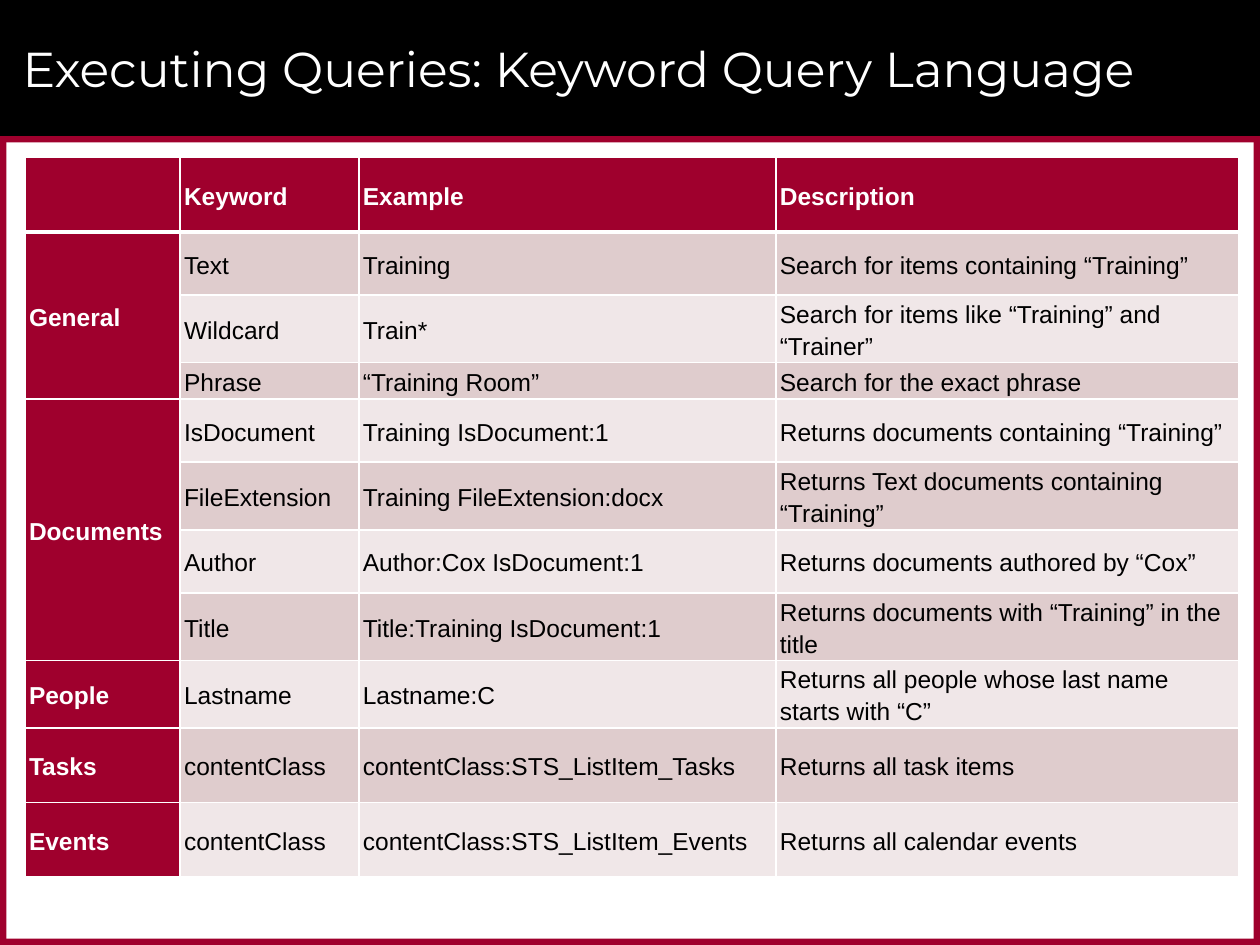
"""Build the Keyword Query Language reference slide."""
from dataclasses import dataclass

import pptx
import pptx.dml.color
import pptx.enum.shapes
import pptx.enum.text
import pptx.oxml
import pptx.oxml.ns
import pptx.util

Pt = pptx.util.Pt


@dataclass(frozen=True)
class Theme:
    black: str = "000000"
    white: str = "FFFFFF"
    red: str = "9F002D"
    bands: tuple = ("DFCCCD", "F0E7E8")
    title_font: str = "Montserrat"
    body_font: str = "Arial"
    title_size: int = 28
    body_size: int = 14


THEME = Theme()
WIDTH, HEIGHT = 720, 540
BANNER, FRAME = 77.8, 3.6
COLS = [88.6, 102.2, 238.3, 264.2]
HEADER_HEIGHT = 42.6
HEADERS = ["", "Keyword", "Example", "Description"]
GROUPS = [
    ("General", [
        (36, "Text", "Training", "Search for items containing “Training”"),
        (36, "Wildcard", "Train*", "Search for items like “Training” and “Trainer”"),
        (20.9, "Phrase", "“Training Room”", "Search for the exact phrase"),
    ]),
    ("Documents", [
        (36, "IsDocument", "Training IsDocument:1", "Returns documents containing “Training”"),
        (36, "FileExtension", "Training FileExtension:docx",
         "Returns Text documents containing “Training”"),
        (36, "Author", "Author:Cox IsDocument:1", "Returns documents authored by “Cox”"),
        (36, "Title", "Title:Training IsDocument:1",
         "Returns documents with “Training” in the title"),
    ]),
    ("People", [
        (36, "Lastname", "Lastname:C", "Returns all people whose last name starts with “C”"),
    ]),
    ("Tasks", [
        (42.6, "contentClass", "contentClass:STS_ListItem_Tasks", "Returns all task items"),
    ]),
    ("Events", [
        (42.6, "contentClass", "contentClass:STS_ListItem_Events", "Returns all calendar events"),
    ]),
]


def rgb(color):
    return pptx.dml.color.RGBColor.from_string(color)


def add_run(p, text, font, size, color, bold=False):
    r = p.add_run()
    r.text = text
    r.font.name = font
    r.font.size = Pt(size)
    r.font.bold = bold
    r.font.color.rgb = rgb(color)


def add_bar(s, x, y, w, h, color):
    sp = s.shapes.add_shape(pptx.enum.shapes.MSO_SHAPE.RECTANGLE, Pt(x), Pt(y), Pt(w), Pt(h))
    sp.shadow.inherit = False
    sp.fill.solid()
    sp.fill.fore_color.rgb = rgb(color)
    sp.line.fill.background()


def add_title(s, text):
    tf = s.shapes.add_textbox(Pt(5.8), Pt(5.8), Pt(WIDTH), Pt(66.2)).text_frame
    tf.word_wrap = True
    tf.vertical_anchor = pptx.enum.text.MSO_ANCHOR.MIDDLE
    add_run(tf.paragraphs[0], text, THEME.title_font, THEME.title_size, THEME.white)


def set_borders(cell, top=1, bottom=1):
    tcPr = cell._tc.get_or_add_tcPr()
    for side, width in (("L", 1), ("R", 1), ("T", top), ("B", bottom)):
        tcPr.append(pptx.oxml.parse_xml(
            f'<a:ln{side} {pptx.oxml.ns.nsdecls("a")} w="{Pt(width)}"><a:solidFill>'
            f'<a:srgbClr val="{THEME.white}"/></a:solidFill></a:ln{side}>'))


def fill_cell(cell, text, fill, heading=False, top=1, bottom=1):
    set_borders(cell, top, bottom)
    cell.fill.solid()
    cell.fill.fore_color.rgb = rgb(fill)
    cell.vertical_anchor = pptx.enum.text.MSO_ANCHOR.MIDDLE
    cell.margin_left = cell.margin_right = Pt(2.2)
    cell.margin_top = cell.margin_bottom = 0
    if text:
        p = cell.text_frame.paragraphs[0]
        p.line_spacing = 1.15
        color = THEME.white if heading else THEME.black
        add_run(p, text, THEME.body_font, THEME.body_size, color, heading)


def add_keyword_table(s):
    heights = [HEADER_HEIGHT] + [row[0] for _, rows in GROUPS for row in rows]
    table = s.shapes.add_table(len(heights), len(COLS), Pt(14.4), Pt(90),
                               Pt(sum(COLS)), Pt(sum(heights))).table
    for column, width in zip(table.columns, COLS):
        column.width = Pt(width)
    for row, height in zip(table.rows, heights):
        row.height = Pt(height)
    for j, text in enumerate(HEADERS):
        fill_cell(table.cell(0, j), text, THEME.red, heading=True, bottom=3)
    i = 1
    for name, rows in GROUPS:
        first = i
        for _, *texts in rows:
            top = 3 if i == 1 else 1
            fill_cell(table.cell(i, 0), name if i == first else "", THEME.red, True, top)
            for j, text in enumerate(texts, 1):
                fill_cell(table.cell(i, j), text, THEME.bands[(i - 1) % 2], top=top)
            i += 1
        if len(rows) > 1:
            table.cell(first, 0).merge(table.cell(i - 1, 0))


def main():
    prs = pptx.Presentation()
    prs.slide_width, prs.slide_height = Pt(WIDTH), Pt(HEIGHT)
    s = prs.slides.add_slide(prs.slide_layouts[6])
    add_bar(s, 0, 0, WIDTH, BANNER, THEME.black)
    for y in (BANNER, HEIGHT - FRAME):
        add_bar(s, 0, y, WIDTH, FRAME, THEME.red)
    for x in (0, WIDTH - FRAME):
        add_bar(s, x, BANNER, FRAME, HEIGHT - BANNER, THEME.red)
    add_title(s, "Executing Queries: Keyword Query Language")
    add_keyword_table(s)
    prs.save("out.pptx")


if __name__ == "__main__":
    main()
